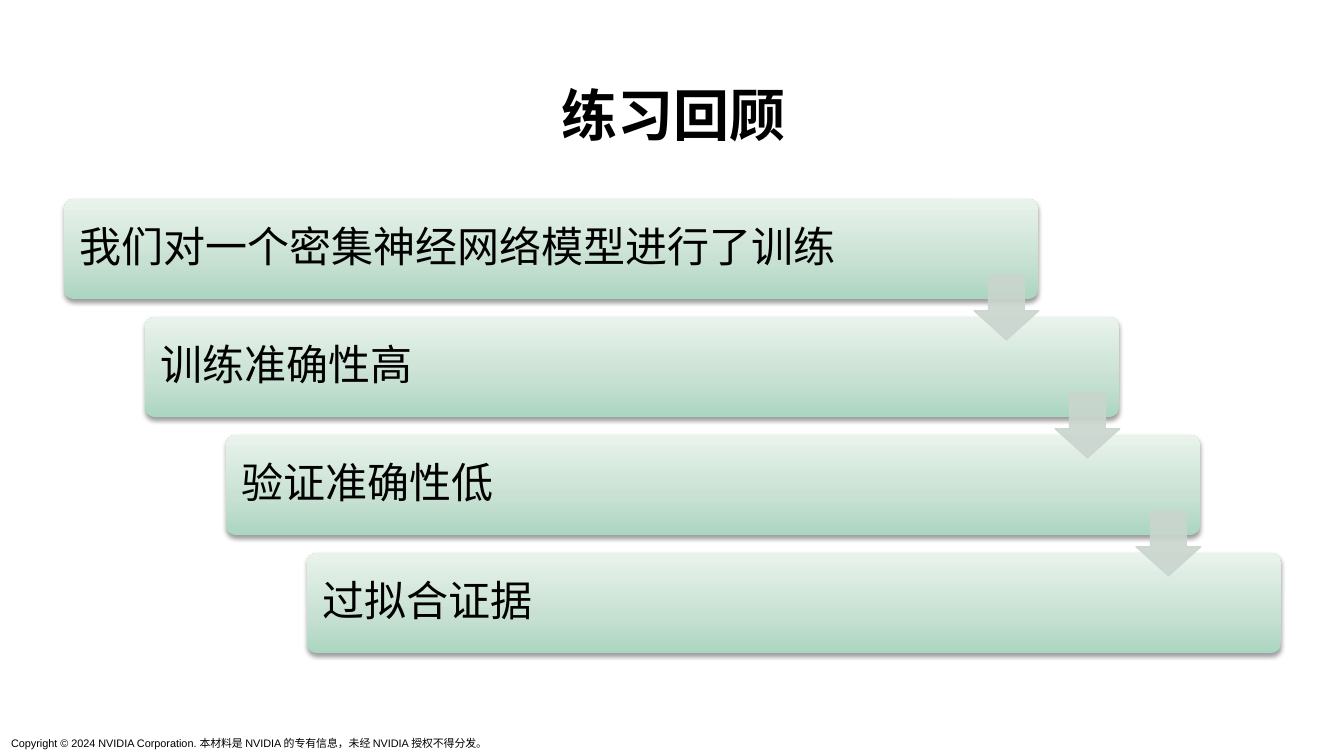
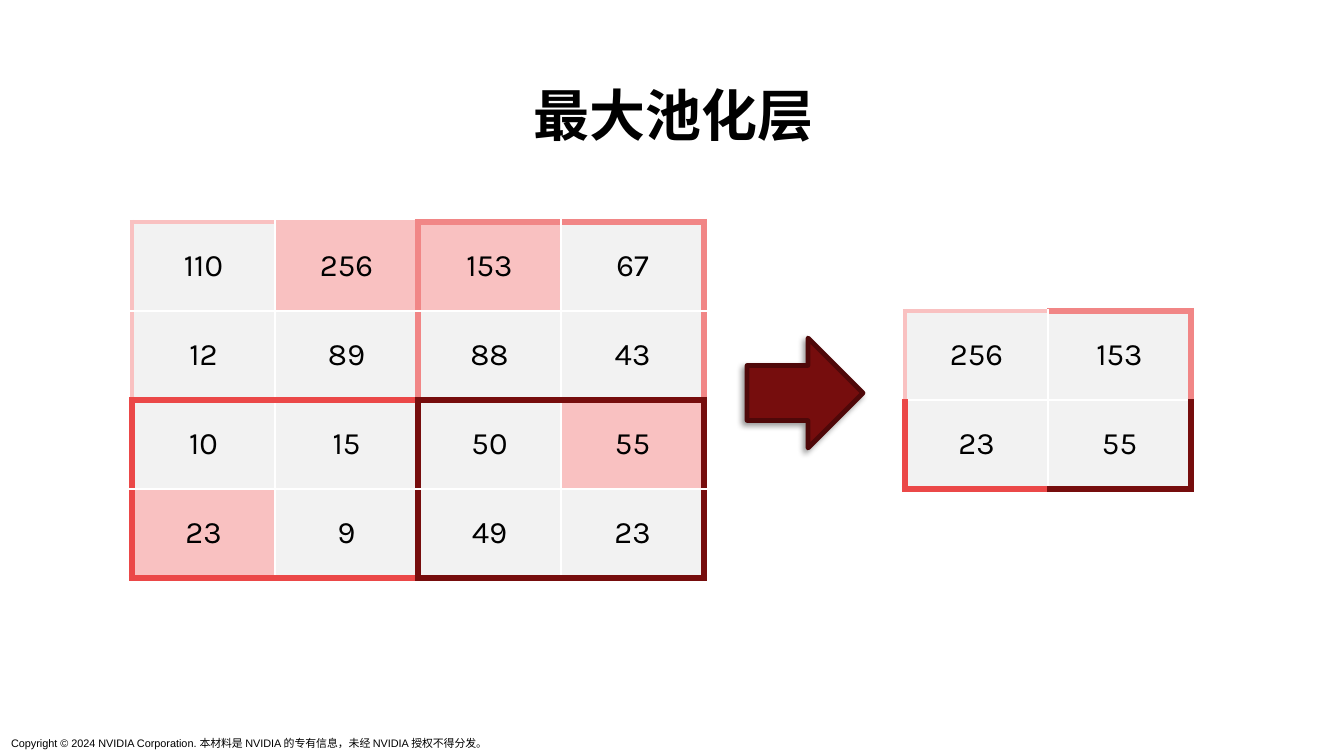
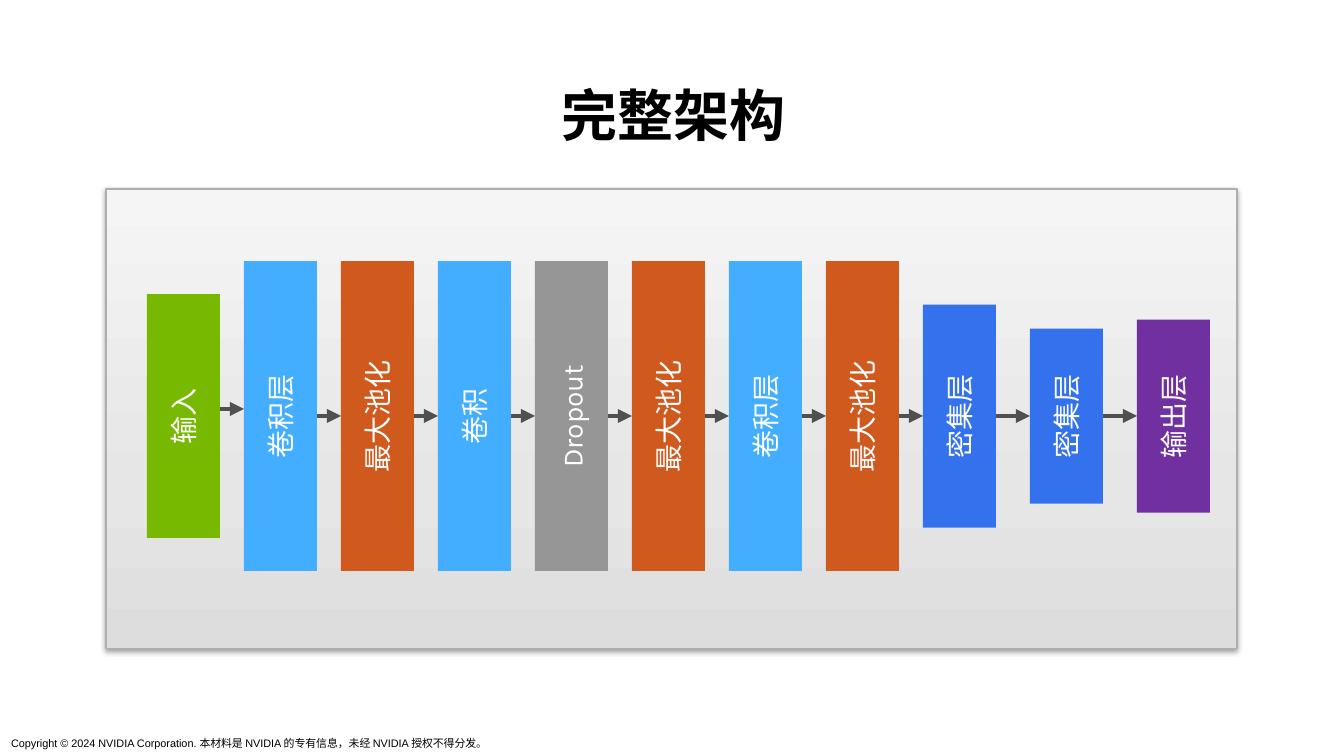
from lxml import etree
from pptx import Presentation
from pptx.dml.color import RGBColor
from pptx.enum.shapes import MSO_CONNECTOR, MSO_SHAPE
from pptx.enum.text import MSO_ANCHOR, PP_ALIGN
from pptx.oxml.ns import qn
from pptx.util import Pt

CENTER, LEFT = PP_ALIGN.CENTER, PP_ALIGN.LEFT
TOP, MIDDLE, BOTTOM = MSO_ANCHOR.TOP, MSO_ANCHOR.MIDDLE, MSO_ANCHOR.BOTTOM
RECTANGLE, ROUNDED = MSO_SHAPE.RECTANGLE, MSO_SHAPE.ROUNDED_RECTANGLE
DOWN_ARROW, RIGHT_ARROW = MSO_SHAPE.DOWN_ARROW, MSO_SHAPE.RIGHT_ARROW
STRAIGHT = MSO_CONNECTOR.STRAIGHT

# Content
FOOTER = "Copyright © 2024 NVIDIA Corporation. 本材料是 NVIDIA 的专有信息，未经 NVIDIA 授权不得分发。"
REVIEW_TITLE, POOLING_TITLE, NETWORK_TITLE = "练习回顾", "最大池化层", "完整架构"
REVIEW_STEPS = ["我们对一个密集神经网络模型进行了训练", "训练准确性高", "验证准确性低", "过拟合证据"]
POOLING_INPUT = [
    [110, 256, 153, 67],
    [12, 89, 88, 43],
    [10, 15, 50, 55],
    [23, 9, 49, 23],
]
# label, colour, height, gap to the next layer
LAYERS = [
    ("输入", "input", 244, 24),
    ("卷积层", "convolution", 310, 24),
    ("最大池化", "pooling", 310, 24),
    ("卷积", "convolution", 310, 24),
    ("Dropout", "dropout", 310, 24),
    ("最大池化", "pooling", 310, 24),
    ("卷积层", "convolution", 310, 24),
    ("最大池化", "pooling", 310, 24),
    ("密集层", "dense", 223, 34),
    ("密集层", "dense", 175, 34),
    ("输出层", "output", 193, 0),
]

# Shared style
COLORS = {
    "text": "000000", "white": "FFFFFF", "shadow": "000000",
    "step_arrow": "C9D5CE", "cell": "F2F2F2", "maximum": "F9C1C1",
    "pale_red": "F9C1C1", "light_red": "F18686", "red": "EB4848",
    "dark_red": "760D0D", "arrow_edge": "4F0809",
    "panel_edge": "AEAEAE", "flow": "505050",
    "input": "76B900", "convolution": "43ADFF", "pooling": "D0591E",
    "dropout": "969696", "dense": "3372EC", "output": "7030A0",
}
STEP_GRADIENT = [(0, "ABD6C1"), (35, "C6E0D1"), (100, "E9F3EC")]
PANEL_GRADIENT = [(0, "DDDDDD"), (35, "E6E6E6"), (100, "F5F5F5")]
# opacity %, blur pt, distance pt, direction in degrees
SOFT_SHADOW = (38, 3.1, 1.6, 90)
ARROW_SHADOW = (40, 4, 3, 135)
# colour and width for each quadrant of a pooling grid
QUADRANT_BORDERS = {
    (0, 0): ("pale_red", 3), (0, 1): ("light_red", 4.5),
    (1, 0): ("red", 4.5), (1, 1): ("dark_red", 4.5),
}
INNER_BORDER = ("white", 1)
CELL_SIDES = {"lnL": (0, -1), "lnR": (0, 1), "lnT": (-1, 0), "lnB": (1, 0)}
SLIDE_WIDTH, SLIDE_HEIGHT = 1344, 756
FONT = "Karla"


def px(length):
    return round(length * 914400 / 112)


def rgb(name):
    return RGBColor.from_string(COLORS[name])


def add_element(parent, tag, **attributes):
    return etree.SubElement(parent, qn(f"a:{tag}"),
                            {key: str(value) for key, value in attributes.items()})


def write(frame, text, size, color="text", align=LEFT, anchor=MIDDLE,
          font=FONT, bold=False, spacing=None, wrap=True):
    frame.word_wrap = wrap
    frame.vertical_anchor = anchor
    paragraph = frame.paragraphs[0]
    paragraph.text = text
    paragraph.alignment = align
    paragraph.line_spacing = spacing
    paragraph.font.name = font
    paragraph.font.size = Pt(size)
    paragraph.font.bold = bold
    paragraph.font.color.rgb = rgb(color)


def add_text(slide, box, text, size, **style):
    frame = slide.shapes.add_textbox(*map(px, box)).text_frame
    write(frame, text, size, **style)


def add_block(slide, kind, box, fill=None, edge=None, edge_width=0.75):
    shape = slide.shapes.add_shape(kind, *map(px, box))
    shape.shadow.inherit = False
    if fill:
        shape.fill.solid()
        shape.fill.fore_color.rgb = rgb(fill)
    if edge:
        shape.line.color.rgb = rgb(edge)
        shape.line.width = Pt(edge_width)
    else:
        shape.line.fill.background()
    return shape


def set_gradient(shape, stops):
    shape.fill.gradient()
    shape.fill.gradient_angle = 90
    stop_list = shape._element.spPr.find(qn("a:gradFill")).find(qn("a:gsLst"))
    for stop in list(stop_list):
        stop_list.remove(stop)
    for position, color in stops:
        add_element(add_element(stop_list, "gs", pos=position * 1000), "srgbClr", val=color)


def set_shadow(shape, opacity, blur, distance, direction):
    effects = shape._element.spPr.find(qn("a:effectLst"))
    shadow = add_element(effects, "outerShdw", blurRad=Pt(blur), dist=Pt(distance),
                         dir=direction * 60000, rotWithShape=0)
    color = add_element(shadow, "srgbClr", val=COLORS["shadow"])
    add_element(color, "alpha", val=opacity * 1000)


def set_opacity(shape, percent):
    for color in shape._element.spPr.iter(qn("a:srgbClr")):
        add_element(color, "alpha", val=percent * 1000)


def add_slide(presentation, title):
    slide = presentation.slides.add_slide(presentation.slide_layouts[6])
    add_text(slide, (0, 731, 511, 25), FOOTER, 7, font="Arial", anchor=TOP, wrap=False)
    add_text(slide, (62, 81, 1222, 73), title, 36, align=CENTER, anchor=BOTTOM,
             bold=True, spacing=0.9)
    return slide


# Slide 1: staggered steps
def build_review(presentation):
    slide = add_slide(presentation, REVIEW_TITLE)
    width, height, arrow_size = 974, 100, 65
    corners = [(64 + 81 * index, 199 + 118 * index) for index in range(len(REVIEW_STEPS))]
    for (left, top), text in zip(corners, REVIEW_STEPS):
        bar = add_block(slide, ROUNDED, (left, top, width, height))
        bar.adjustments[0] = 0.1
        set_gradient(bar, STEP_GRADIENT)
        set_shadow(bar, *SOFT_SHADOW)
        bar.text_frame.margin_left = px(13)
        write(bar.text_frame, text, 27, spacing=0.9)
    for left, top in corners[:-1]:
        box = (left + width - arrow_size + 1, top + 76, arrow_size, arrow_size)
        arrow = add_block(slide, DOWN_ARROW, box, "step_arrow", "step_arrow")
        arrow.adjustments[0] = 0.45
        arrow.adjustments[1] = 0.55
        arrow.adjustments[0], arrow.adjustments[1] = 0.55, 0.45
        set_opacity(arrow, 90)


# Slide 2: pooling grids
def border_style(row, column, side, count):
    block = count // 2
    next_row, next_column = row + side[0], column + side[1]
    quadrant = (row // block, column // block)
    if not (0 <= next_row < count and 0 <= next_column < count):
        return QUADRANT_BORDERS[quadrant]
    neighbour = (next_row // block, next_column // block)
    if block == 1 or neighbour == quadrant:
        return INNER_BORDER
    return QUADRANT_BORDERS[max(quadrant, neighbour)]


def add_grid(slide, left, top, values, highlighted=()):
    count = len(values)
    cell_width, cell_height = 143, 89
    box = (left, top, cell_width * count, cell_height * count)
    table = slide.shapes.add_table(count, count, *map(px, box)).table
    table.first_row = table.horz_banding = False
    for row, numbers in enumerate(values):
        for column, number in enumerate(numbers):
            cell = table.cell(row, column)
            properties = cell._tc.get_or_add_tcPr()
            for tag, side in CELL_SIDES.items():
                color, width = border_style(row, column, side, count)
                line = add_element(properties, tag, w=Pt(width))
                add_element(add_element(line, "solidFill"), "srgbClr", val=COLORS[color])
            cell.fill.solid()
            cell.fill.fore_color.rgb = rgb("maximum" if (row, column) in highlighted else "cell")
            write(cell.text_frame, str(number), 20, align=CENTER)
            cell.vertical_anchor = MIDDLE


def build_pooling(presentation):
    slide = add_slide(presentation, POOLING_TITLE)
    maxima = [
        [max((POOLING_INPUT[row][column], row, column)
             for row in (top, top + 1) for column in (left, left + 1))
         for left in (0, 2)]
        for top in (0, 2)
    ]
    highlighted = {(row, column) for line in maxima for _, row, column in line}
    pooled = [[value for value, _, _ in line] for line in maxima]
    add_grid(slide, 132, 222, POOLING_INPUT, highlighted)
    add_grid(slide, 905, 311, pooled)
    arrow = add_block(slide, RIGHT_ARROW, (747, 338, 116, 110), "dark_red", "arrow_edge", 3)
    set_shadow(arrow, *ARROW_SHADOW)


# Slide 3: network layers
def add_flow(slide, start, end, y, source=None, target=None):
    connector = slide.shapes.add_connector(STRAIGHT, px(start), px(y), px(end), px(y))
    if source:
        # The layers are turned upright: their bottom faces right, their top faces left
        connector.begin_connect(source, 2)
        connector.end_connect(target, 0)
        connector.begin_x, connector.begin_y = px(start), px(y)
        connector.end_x, connector.end_y = px(end), px(y)
    connector.line.color.rgb = rgb("flow")
    connector.line.width = Pt(3)
    add_element(connector.line._get_or_add_ln(), "tailEnd", type="triangle")
    add_element(connector._element.spPr, "effectLst")


def build_network(presentation):
    slide = add_slide(presentation, NETWORK_TITLE)
    panel = add_block(slide, RECTANGLE, (106, 189, 1131, 460), edge="panel_edge")
    set_gradient(panel, PANEL_GRADIENT)
    set_shadow(panel, *SOFT_SHADOW)

    thickness, middle, left = 73, 416, 147
    placed = []
    for label, color, height, gap in LAYERS:
        box = (left + (thickness - height) / 2, middle - thickness / 2, height, thickness)
        layer = add_block(slide, RECTANGLE, box, color)
        layer.rotation = 270
        write(layer.text_frame, label, 18, color="white", align=CENTER)
        placed.append((layer, left + thickness, gap))
        left += thickness + gap

    _, right, gap = placed[0]
    add_flow(slide, right, right + gap, 409)
    for (source, right, gap), (target, _, _) in zip(placed[1:], placed[2:]):
        add_flow(slide, right, right + gap, middle, source, target)


def main():
    presentation = Presentation()
    presentation.slide_width, presentation.slide_height = px(SLIDE_WIDTH), px(SLIDE_HEIGHT)
    build_review(presentation)
    build_pooling(presentation)
    build_network(presentation)
    presentation.save("out.pptx")


if __name__ == "__main__":
    main()
